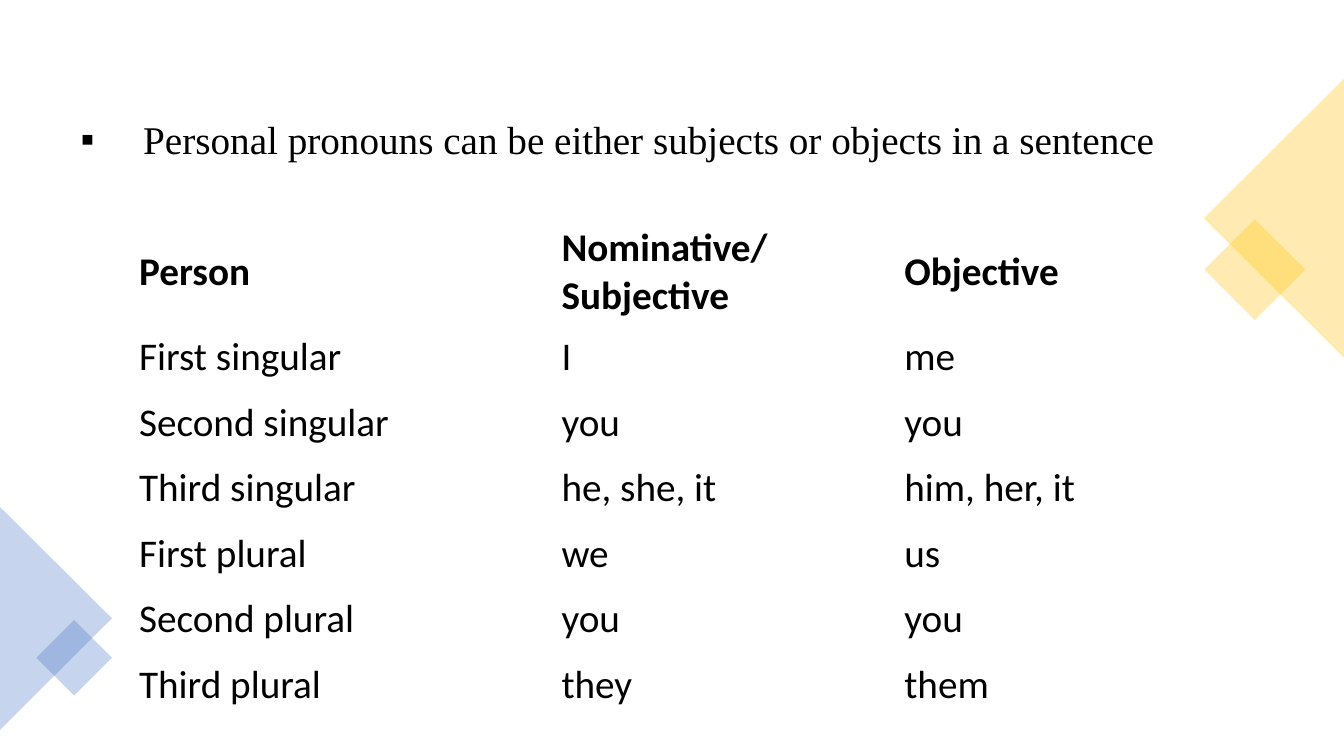
from lxml.etree import SubElement
from pptx import Presentation
from pptx.dml.color import RGBColor
from pptx.enum.shapes import MSO_SHAPE as Preset
from pptx.enum.text import MSO_ANCHOR as Anchor, MSO_AUTO_SIZE as AutoSize, PP_ALIGN as Align
from pptx.oxml.ns import qn
from pptx.util import Inches, Pt

COLORS = {"text": "000000", "gold": "FFC000", "blue": "4472C4"}
PLAIN_TABLE = "{2D5ABB26-0587-4C30-8999-92F81FD0307C}"
PRONOUNS = [
    ("Person", "Nominative/Subjective", "Objective"),
    ("First singular", "I", "me"),
    ("Second singular", "you", "you"),
    ("Third singular", "he, she, it", "him, her, it"),
    ("First plural", "we", "us"),
    ("Second plural", "you", "you"),
    ("Third plural", "they", "them"),
]


def write(frame, text, font="Calibri", size=28, color="text", bold=False, spacing=1.0):
    paragraph = frame.paragraphs[0]
    paragraph.alignment = Align.LEFT
    paragraph.line_spacing = spacing
    run = paragraph.add_run()
    run.text = text
    run.font.name = font
    run.font.size = Pt(size)
    run.font.bold = bold
    run.font.color.rgb = RGBColor.from_string(COLORS[color])


class PronounSlide:
    def __init__(self, deck):
        self.slide = deck.slides.add_slide(deck.slide_layouts[5])
        self.opacity = 30

    def bullet_title(self, text, left, top, width, height, indent):
        title = self.slide.shapes.title
        title.left, title.top = Inches(left), Inches(top)
        title.width, title.height = Inches(width), Inches(height)
        frame = title.text_frame
        frame.word_wrap = True
        frame.auto_size = AutoSize.NONE
        frame.vertical_anchor = Anchor.MIDDLE
        write(frame, text, font="Times New Roman", spacing=0.9)
        properties = next(title.element.iter(qn("a:pPr")))
        properties.set("marL", str(Inches(indent)))
        properties.set("indent", str(-Inches(indent)))
        SubElement(properties, qn("a:buFont"), typeface="Times New Roman")
        SubElement(properties, qn("a:buChar"), char="▪")

    def ornament(self, preset, left, top, width, height, rotation, color):
        ornament = self.slide.shapes.add_shape(
            preset, Inches(left), Inches(top), Inches(width), Inches(height))
        ornament.rotation = rotation
        ornament.shadow.inherit = False
        ornament.line.fill.background()
        ornament.fill.solid()
        ornament.fill.fore_color.rgb = RGBColor.from_string(COLORS[color])
        tint = next(ornament.element.iter(qn("a:srgbClr")))
        SubElement(tint, qn("a:alpha"), val=str(self.opacity * 1000))

    def table(self, rows, left, top, column_widths, row_height):
        holder = self.slide.shapes.add_table(
            len(rows), len(column_widths), Inches(left), Inches(top),
            Inches(sum(column_widths)), Inches(row_height * len(rows)))
        next(holder.element.iter(qn("a:tableStyleId"))).text = PLAIN_TABLE
        table = holder.table
        table.horz_banding = False
        for column, width in zip(table.columns, column_widths):
            column.width = Inches(width)
        for row_index, row in enumerate(rows):
            table.rows[row_index].height = Inches(row_height)
            for column_index, text in enumerate(row):
                cell = table.cell(row_index, column_index)
                cell.fill.background()
                cell.vertical_anchor = Anchor.MIDDLE
                write(cell.text_frame, text, bold=row_index == 0)


def main():
    deck = Presentation()
    deck.slide_width, deck.slide_height = Inches(13.33), Inches(7.5)
    page = PronounSlide(deck)
    page.bullet_title("Personal pronouns can be either subjects or objects in a sentence",
                      0.7, 0.78, 11.93, 1.25, indent=0.62)
    page.ornament(Preset.RECTANGLE, 12.09, 2.32, 0.71, 0.71, 45, "gold")
    page.ornament(Preset.ISOSCELES_TRIANGLE, 11.25, 1.47, 2.77, 1.39, 270, "gold")
    page.ornament(Preset.ISOSCELES_TRIANGLE, -0.55, 5.58, 2.21, 1.11, 90, "blue")
    page.ornament(Preset.RECTANGLE, 0.47, 6.26, 0.53, 0.53, 45, "blue")
    page.table(PRONOUNS, 1.28, 2.17, column_widths=(4.19, 3.4, 3.18), row_height=0.65)
    deck.save("out.pptx")


if __name__ == "__main__":
    main()
